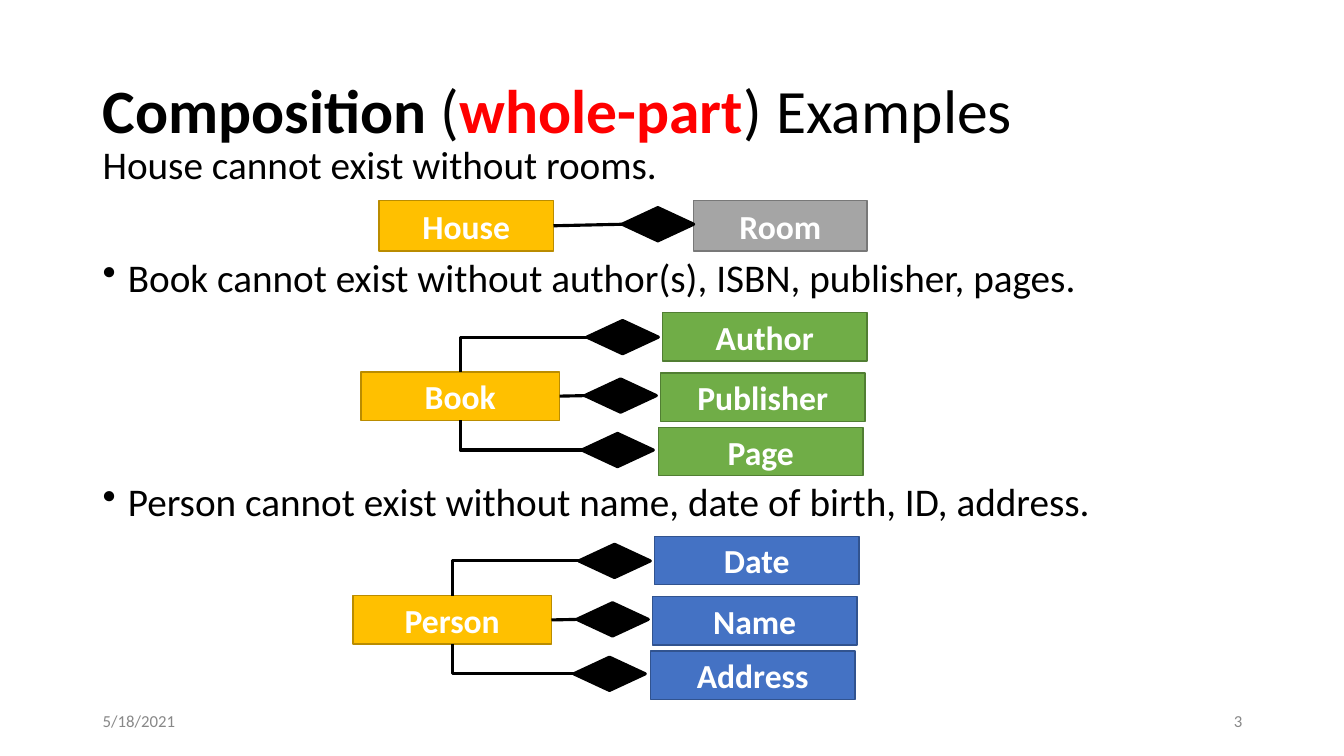
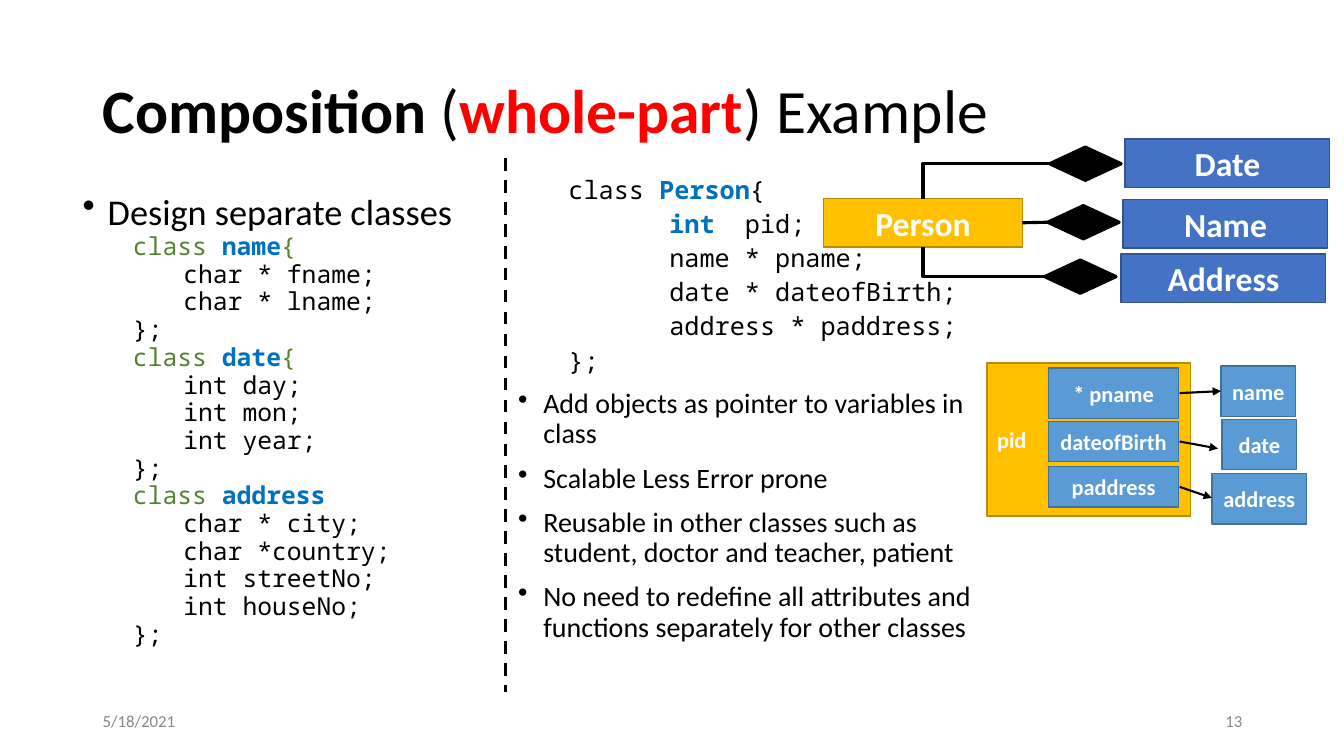
from dataclasses import dataclass

from lxml import etree
from pptx import Presentation
from pptx.dml.color import RGBColor
from pptx.enum import dml, shapes, text
from pptx.oxml import ns
from pptx.util import Inches, Pt


@dataclass(frozen=True)
class Theme:
    black: str = "000000"
    white: str = "FFFFFF"
    red: str = "FF0000"
    muted: str = "888888"
    keyword: str = "548135"
    name: str = "0070C0"
    gold: tuple = ("FFC000", "BA8C00")
    gray: tuple = ("A5A5A5", "787878")
    green: tuple = ("70AD47", "517E33")
    blue: tuple = ("4472C4", "31538F")
    sky: tuple = ("5B9BD5", "42719B")
    body: str = "Calibri"
    mono: str = "Noto Sans Mono"
    title_size: float = 44
    body_size: float = 28
    topic_size: float = 25.9
    box_size: float = 24
    point_size: float = 20
    code_size: float = 18
    listing_size: float = 17.6
    field_size: float = 16
    footer_size: float = 12
    thick: float = 2.25
    arrow: float = 1.5
    outline: float = 1


T = Theme()
DATE = "5/18/2021"

STATEMENTS = [
    ("House cannot exist without rooms.", False, 0),
    ("Book cannot exist without author(s), ISBN, publisher, pages.", True, 50),
    ("Person cannot exist without name, date of birth, ID, address.", True, 130),
]

SINGLE_ROW = [(3.12, 0, 2.41, 0.07)]
THREE_ROWS = [(2.99, -0.59, 2.24, -0.51), (2.97, 0.01, 2.22, 0.07), (2.95, 0.55, 2.19, 0.61)]
HOUSE = dict(whole="House", parts=["Room"], colors=T.gray, rows=SINGLE_ROW,
             whole_size=(1.73, 0.5), part_size=(1.72, 0.5))
BOOK = dict(whole="Book", parts=["Author", "Publisher", "Page"], colors=T.green)
PERSON = dict(whole="Person", parts=["Date", "Name", "Address"], colors=T.blue)

CLASSES = [
    ("name", "{", ["char * fname;", "char * lname;"]),
    ("date", "{", ["int day;", "int mon;", "int year;"]),
    ("address", "", ["char * city;", "char *country;", "int streetNo;", "int houseNo;"]),
]
PERSON_MEMBERS = [
    [("int", T.name, True), "  pid;"],
    ["name * pname;"],
    ["date * dateofBirth;"],
    ["address * paddress;"],
]
POINTS = [
    "Add objects as pointer to variables in class",
    "Scalable Less Error prone",
    "Reusable in other classes such as student, doctor and teacher, patient",
    "No need to redefine all attributes and functions separately for other classes",
]
POINTERS = [
    ("* pname", (3.65, 0.5), "name", (12.11, 3.63, 0.74), (12.11, 3.88)),
    ("dateofBirth", (4.18, 0.4), "date", (12.12, 4.16, 0.74), (12.08, 4.45)),
    ("paddress", (4.63, 0.4), "address", (12.02, 4.7, 0.94), (12.02, 4.94)),
]


def rgb(color):
    return RGBColor.from_string(color)


def write(tf, runs, size, color=T.black, font=T.body, bold=False, align="LEFT",
          spacing=1.0, before=0, margin=0, bullet=False):
    p = tf.paragraphs[0]
    if p.runs:
        p = tf.add_paragraph()
    pPr = p._p.get_or_add_pPr()
    pPr.set("marL", str(Inches(margin)))
    pPr.set("indent", str(Inches(-margin if bullet else 0)))
    if bullet:
        etree.SubElement(pPr, ns.qn("a:buChar")).set("char", "•")
    p.alignment = getattr(text.PP_ALIGN, align)
    p.line_spacing = spacing
    p.space_before = Pt(before)
    for run in [runs] if isinstance(runs, str) else runs:
        words, run_color, run_bold = (run, color, bold) if isinstance(run, str) else run
        r = p.add_run()
        r.text = words
        f = r.font
        f.name, f.size, f.bold = font, Pt(size), run_bold
        f.color.rgb = rgb(run_color)


def text_box(s, at, anchor="TOP"):
    tf = s.shapes.add_textbox(*map(Inches, at)).text_frame
    tf.word_wrap = True
    tf.vertical_anchor = getattr(text.MSO_ANCHOR, anchor)
    return tf


def add_block(s, at, fill, line, width, kind="RECTANGLE"):
    sp = s.shapes.add_shape(getattr(shapes.MSO_SHAPE, kind), *map(Inches, at))
    sp.shadow.inherit = False
    sp.fill.solid()
    sp.fill.fore_color.rgb = rgb(fill)
    sp.line.color.rgb = rgb(line)
    sp.line.width = Pt(width)
    return sp


def label_box(s, label, at, colors, size=T.box_size, align="CENTER"):
    sp = add_block(s, at, *colors, T.outline)
    sp.text_frame.word_wrap = True
    sp.text_frame.vertical_anchor = text.MSO_ANCHOR.MIDDLE
    write(sp.text_frame, label, size, color=T.white, bold=True, align=align)
    return sp


def add_line(s, start=(0, 0), end=(0, 0), width=T.thick, kind="STRAIGHT"):
    c = s.shapes.add_connector(getattr(shapes.MSO_CONNECTOR, kind),
                               *map(Inches, (*start, *end)))
    c.line.color.rgb = rgb(T.black)
    c.line.width = Pt(width)
    etree.SubElement(c._element.spPr, ns.qn("a:effectLst"))
    return c


def join(s, diamond, whole, dy):
    straight = abs(dy) < 0.1
    c = add_line(s, kind="STRAIGHT" if straight else "ELBOW")
    c.begin_connect(diamond, 1)
    c.end_connect(whole, 3 if straight else 0 if dy < 0 else 2)
    if not straight:
        c._element.spPr.find(ns.qn("a:prstGeom")).set("prst", "bentConnector2")


def composition(s, x, y, whole, parts, colors, rows=THREE_ROWS,
                whole_size=(1.97, 0.48), part_size=(2.03, 0.48)):
    owner = label_box(s, whole, (x, y, *whole_size), T.gold)
    for part, (dx, dy, diamond_dx, diamond_dy) in zip(parts, rows):
        label_box(s, part, (x + dx, y + dy, *part_size), colors)
        diamond = add_block(s, (x + diamond_dx, y + diamond_dy, 0.71, 0.33),
                            T.black, T.black, T.thick, "FLOWCHART_DECISION")
        join(s, diamond, owner, dy)


def new_slide(prs, ending, number):
    s = prs.slides.add_slide(prs.slide_layouts[6])
    title = [("Composition", T.black, True), " (", ("whole-part", T.red, True), ") " + ending]
    write(text_box(s, (0.92, 0.4, 11.5, 1.45), "MIDDLE"), title, T.title_size, spacing=0.9)
    for words, x, align in ((DATE, 0.92, "LEFT"), (number, 9.42, "RIGHT")):
        write(text_box(s, (x, 6.95, 3, 0.4), "MIDDLE"), words, T.footer_size,
              color=T.muted, align=align)
    return s


def examples_slide(prs):
    s = new_slide(prs, "Examples", "3")
    tf = text_box(s, (0.92, 1.4, 11.83, 4.76))
    for words, bullet, before in STATEMENTS:
        write(tf, words, T.body_size, spacing=0.9, before=before,
              margin=0.25 if bullet else 0, bullet=bullet)
    composition(s, 3.76, 1.99, **HOUSE)
    composition(s, 3.5, 5.91, **PERSON)
    composition(s, 3.58, 3.69, **BOOK)


def class_listing(s):
    tf = text_box(s, (0.72, 1.95, 4.19, 4.75))
    write(tf, "Design separate classes", T.topic_size, spacing=0.7, margin=0.25, bullet=True)
    code = dict(size=T.listing_size, font=T.mono, spacing=0.7, before=5)
    for name, brace, members in CLASSES:
        heading = ["class ", (name, T.name, True)] + ([brace] if brace else [])
        write(tf, heading, color=T.keyword, margin=0.5, **code)
        for member in members:
            write(tf, member, margin=1, **code)
        if brace or name == CLASSES[-1][0]:
            write(tf, "};", margin=0.5, **code)


def person_listing(s):
    tf = text_box(s, (5.04, 1.71, 4.76, 5.14))
    code = dict(size=T.code_size, font=T.mono, spacing=0.9)
    write(tf, ["class ", ("Person", T.name, True), "{"], margin=0.5, **code)
    for member in PERSON_MEMBERS:
        write(tf, member, margin=1.5, before=5, **code)
    write(tf, "};", margin=0.5, before=5, **code)
    for point in POINTS:
        write(tf, point, T.point_size, spacing=0.9, before=10, margin=0.25, bullet=True)


def pointer_diagram(s):
    label_box(s, "pid", (9.79, 3.6, 2.02, 1.52), T.gold, T.field_size, "LEFT")
    for field, (y, h), target, (tx, ty, tw), tip in POINTERS:
        label_box(s, field, (10.4, y, 1.29, h), T.sky, T.field_size)
        label_box(s, target, (tx, ty, tw, 0.5), T.sky, T.field_size)
        c = add_line(s, (11.7, y + h / 2), tip, T.arrow)
        etree.SubElement(c.line._get_or_add_ln(), ns.qn("a:tailEnd")).set("type", "triangle")


def example_slide(prs):
    s = new_slide(prs, "Example", "13")
    class_listing(s)
    person_listing(s)
    add_line(s, (5.01, 1.57), (5.01, 6.87)).line.dash_style = dml.MSO_LINE.DASH
    composition(s, 8.17, 1.97, **PERSON)
    pointer_diagram(s)


def main():
    prs = Presentation()
    prs.slide_width, prs.slide_height = Inches(13.33), Inches(7.5)
    examples_slide(prs)
    example_slide(prs)
    prs.save("out.pptx")


if __name__ == "__main__":
    main()
